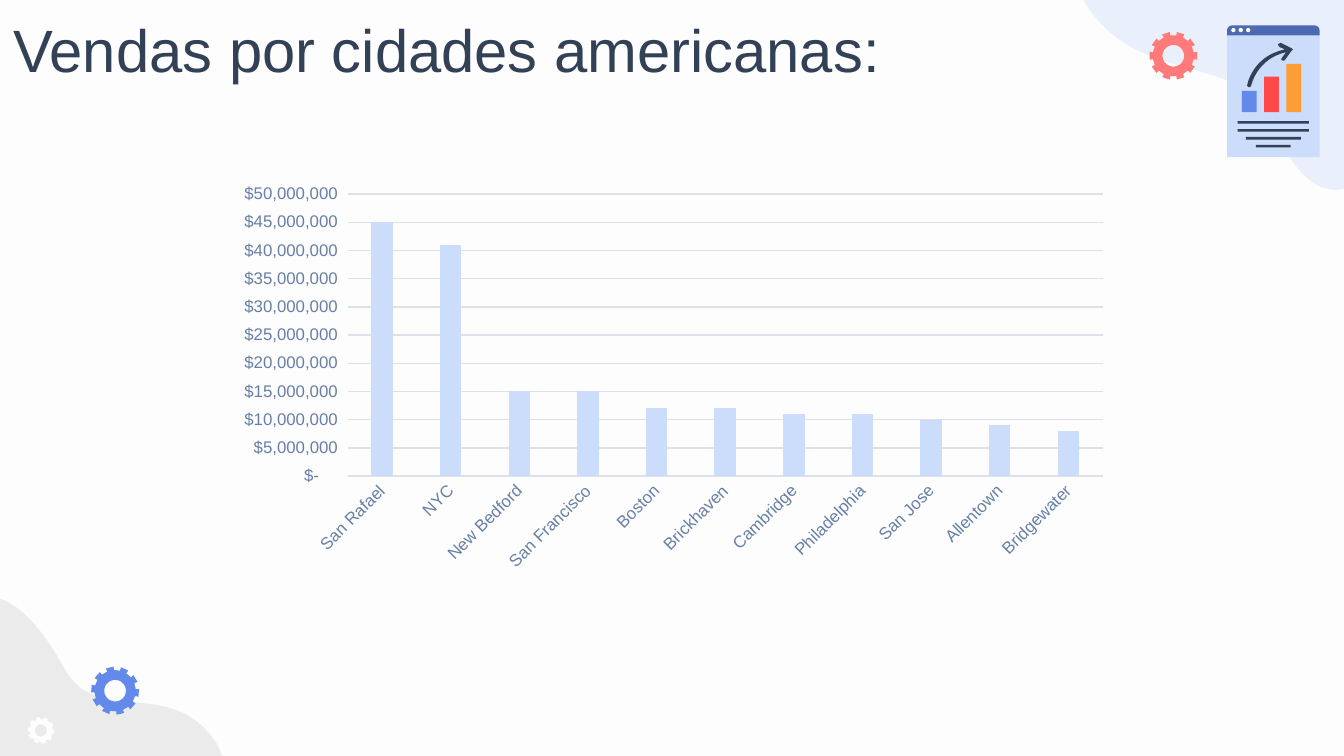
from math import cos, pi, sin

from pptx import Presentation
from pptx.chart.data import CategoryChartData as ChartData
from pptx.dml.color import RGBColor as RGB
from pptx.enum.chart import XL_CHART_TYPE as Kind, XL_TICK_MARK as Tick
from pptx.enum.shapes import MSO_SHAPE as Form
from pptx.oxml.ns import qn
from pptx.oxml.xmlchemy import OxmlElement as Node
from pptx.util import Cm, Pt

HUES = {"back": "FDFDFD", "ink": "334157", "pale": "CBDDFA", "gray": "EBEBEB",
        "navy": "4C69B2", "blue": "6389EB", "red": "FF4949", "gold": "FF9D35",
        "coral": "FF7A78", "label": "677FA6", "grid": "DCE1EA"}
FONT = "Arial"
MONEY = r'_-[$$-409]* #,##0_ ;_-[$$-409]* \-#,##0\ ;_-[$$-409]* "-"??_ ;_-@_ '
SALES = {"San Rafael": 45, "NYC": 41, "New Bedford": 15, "San Francisco": 15,
         "Boston": 12, "Brickhaven": 12, "Cambridge": 11, "Philadelphia": 11,
         "San Jose": 10, "Allentown": 9, "Bridgewater": 8}
BLOB = [(332, 208), (332, 210, 331, 214, 330, 216), (314, 266, 216, 251, 155, 249),
        (119, 248, 124, 251, 64, 254), (17, 257, 0, 236, 2, 217), (2, 214),
        (3, 210, 5, 205, 8, 201), (21, 179, 30, 172, 18, 99),
        (6, 25, 50, 29, 97, 45), (145, 61, 174, 4, 232, 2),
        (292, 0, 293, 45, 283, 93), (272, 143, 339, 148, 332, 208)]
ARROW = [(34, 5), (34, 4, 33, 4, 33, 4), (25, 0), (24, 0, 24, 0, 23, 1),
         (23, 1, 23, 2, 24, 3), (28, 5), (4, 10, 0, 31, 0, 32),
         (0, 32, 1, 33, 1, 33), (2, 33, 3, 33, 3, 32), (3, 32, 7, 12, 29, 7),
         (26, 11), (25, 12, 25, 13, 26, 13), (26, 13, 28, 14, 28, 13),
         (33, 6), (34, 6, 34, 5, 34, 5)]


def tint(name):
    """Return the named colour."""
    return RGB.from_string(HUES[name])


def paint(shape, hue):
    """Give a shape a flat fill with no line or shadow."""
    shape.shadow.inherit = False
    shape.fill.solid()
    shape.fill.fore_color.rgb = tint(hue)
    shape.line.fill.background()
    return shape


def put(slide, form, x, y, w, h, hue):
    """Add a flat preset shape."""
    return paint(slide.shapes.add_shape(form, Cm(x), Cm(y), Cm(w), Cm(h)), hue)


def curve(slide, segs, x, y, unit, hue):
    """Draw an outline whose pairs are corners and whose sixes are curves."""
    pen = slide.shapes.build_freeform(*segs[0], scale=Cm(unit))
    for seg in segs[1:]:
        run = seg if len(seg) == 6 else seg * 3
        pen.add_line_segments(list(zip(run[::2], run[1::2])), close=False)
    pen.add_line_segments([], close=True)
    shape = paint(pen.convert_to_shape(Cm(x), Cm(y)), hue)
    shape.left, shape.top = Cm(x), Cm(y)
    lines = list(shape._element.iter(qn("a:lnTo")))
    for i in range(0, len(lines) // 3 * 3, 3):
        bend = Node("a:cubicBezTo")
        lines[i].addprevious(bend)
        for line in lines[i:i + 3]:
            bend.append(line[0])
            line.getparent().remove(line)
    return shape


def blob(slide, x, y, w, spin, hue, alpha=100):
    """Place a turned wave in a corner."""
    shape = curve(slide, BLOB, x, y, w / 339, hue)
    shape.rotation = spin
    tone = shape._element.spPr.find(qn("a:solidFill"))[0]
    if alpha < 100:
        veil = Node("a:alpha")
        veil.set("val", str(alpha * 1000))
        tone.append(veil)


def gear(slide, x, y, w, hue, spin=0):
    """Draw a ten-tooth gear with a round hole."""
    def ring(rad, turn):
        return round(500 + rad * cos(turn)), round(500 + rad * sin(turn))

    half = pi / 19
    rim = [ring(rad, i * pi / 5 + side * half) for i in range(10)
           for rad, side in ((430, -1), (500, -1), (500, 1), (430, 1))]
    hole = [ring(225, -i * pi / 18) for i in range(36)]
    pen = slide.shapes.build_freeform(*rim[0], scale=Cm(w) / 1000)
    pen.add_line_segments(rim[1:], close=True)
    pen.move_to(*hole[0])
    pen.add_line_segments(hole[1:], close=True)
    paint(pen.convert_to_shape(Cm(x), Cm(y)), hue).rotation = spin


def page(slide, x, y, w, h):
    """Draw the report page with its bars, arrow and lines."""
    bar = 0.19
    put(slide, Form.RECTANGLE, x, y + bar, w, h - bar, "pale")
    top = put(slide, Form.ROUND_2_SAME_RECTANGLE, x, y, w, bar, "navy")
    top.adjustments[0] = 0.5
    for i in range(3):
        put(slide, Form.OVAL, x + 0.08 + 0.14 * i, y + 0.05, 0.08, 0.08, "back")
    for i, (tall, hue) in enumerate([(0.4, "blue"), (0.67, "red"), (0.91, "gold")]):
        put(slide, Form.RECTANGLE, x + 0.28 + 0.42 * i, y + 1.64 - tall,
            0.28, tall, hue)
    curve(slide, ARROW, x + 0.38, y + 0.33, 0.0254, "ink")
    for i, wide in enumerate([1.35, 1.35, 1.04, 0.66]):
        put(slide, Form.RECTANGLE, x + (w - wide) / 2, y + 1.81 + 0.15 * i,
            wide, 0.05, "ink")


def title(slide, x, y, w, h, text):
    """Write the slide heading."""
    frame = slide.shapes.add_textbox(Cm(x), Cm(y), Cm(w), Cm(h)).text_frame
    frame.word_wrap = True
    frame.margin_left = frame.margin_right = Cm(0.25)
    frame.margin_top = frame.margin_bottom = Cm(0.25)
    para = frame.paragraphs[0]
    para.text = text
    style(para.font, 32, "ink")


def style(font, size, hue):
    """Set face, size and colour."""
    font.name, font.size = FONT, Pt(size)
    font.color.rgb = tint(hue)


def rule(line):
    """Style a thin chart line."""
    line.width = Pt(0.75)
    line.color.rgb = tint("grid")


def sales(slide, x, y, w, h):
    """Add the column chart of sales by city."""
    data = ChartData(number_format=MONEY)
    data.categories = list(SALES)
    data.add_series("Series 1", [val * 1000000 for val in SALES.values()])
    chart = slide.shapes.add_chart(Kind.COLUMN_CLUSTERED, Cm(x), Cm(y),
                                   Cm(w), Cm(h), data).chart
    chart.has_legend = chart.has_title = False
    style(chart.font, 10, "ink")
    plot = chart.plots[0]
    plot.vary_by_categories = False
    plot.gap_width, plot.overlap = 219, -27
    fill = plot.series[0].format.fill
    fill.solid()
    fill.fore_color.rgb = tint("pale")
    cats, vals = chart.category_axis, chart.value_axis
    for axis in (cats, vals):
        axis.major_tick_mark = axis.minor_tick_mark = Tick.NONE
        style(axis.tick_labels.font, 9, "label")
    rule(cats.format.line)
    body = cats._element.find(qn("c:txPr")).find(qn("a:bodyPr"))
    body.set("rot", "-2700000")
    vals.format.line.fill.background()
    rule(vals.major_gridlines.format.line)
    vals.minimum_scale, vals.maximum_scale = 0, 50000000
    vals.major_unit = 5000000
    vals.tick_labels.number_format = MONEY
    vals.tick_labels.number_format_is_linked = False


def main():
    """Build and save the slide."""
    deck = Presentation()
    deck.slide_width, deck.slide_height = Cm(25.4), Cm(14.29)
    slide = deck.slides.add_slide(deck.slide_layouts[6])
    back = slide.background.fill
    back.solid()
    back.fore_color.rgb = tint("back")
    blob(slide, 20.07, -3.99, 8.61, 227, "pale", 39)
    blob(slide, -4.6, 11.91, 8.61, 319, "gray")
    page(slide, 23.19, 0.48, 1.75, 2.49)
    gear(slide, 21.72, 0.6, 0.91, "coral")
    gear(slide, 1.72, 12.6, 0.91, "blue", 221.2)
    gear(slide, 0.52, 13.55, 0.51, "back", 221.2)
    title(slide, 0, 0, 21.41, 1.6, "Vendas por cidades americanas:")
    sales(slide, 4.19, 3.33, 16.99, 7.62)
    deck.save("out.pptx")


if __name__ == "__main__":
    main()
